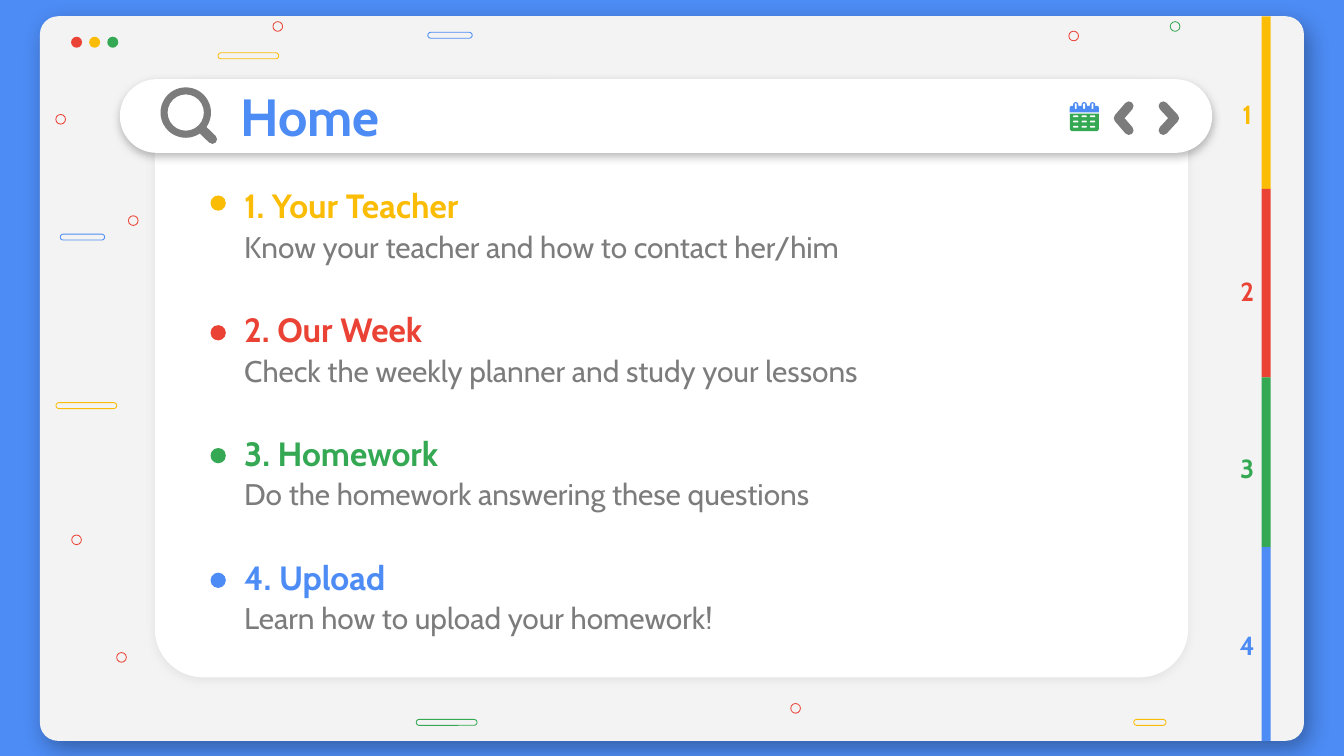
"""Build the Home slide: a browser window with a four-part menu."""
from lxml import etree
from pptx import Presentation
from pptx import util as u
from pptx.dml import color
from pptx.enum import shapes, text
from pptx.oxml import ns, parse_xml

Pt = u.Pt
rgb = color.RGBColor.from_string
KIND = shapes.MSO_SHAPE
BLUE, RED, YELLOW, GREEN = "4D8CF5", "EA4335", "FBBC05", "34A853"
GRAY, WHITE, PALE = "7C7C7C", "FFFFFF", "F3F3F3"

presentation = Presentation()
presentation.slide_width, presentation.slide_height = Pt(720), Pt(405)
slide = presentation.slides.add_slide(presentation.slide_layouts[6])
slide.background.fill.solid()
slide.background.fill.fore_color.rgb = rgb(BLUE)


def add_shape(kind, left, top, width, height, fill=None, line=None,
              corner=None, shadow=None, parent=slide):
    """Add a preset shape; shadow is (colour, opacity, blur, distance, angle)."""
    shape = parent.shapes.add_shape(kind, Pt(left), Pt(top), Pt(width), Pt(height))
    shape.shadow.inherit = False
    if fill:
        shape.fill.solid()
        shape.fill.fore_color.rgb = rgb(fill)
    else:
        shape.fill.background()
    if line:
        shape.line.color.rgb = rgb(line)
        shape.line.width = Pt(0.44)
    else:
        shape.line.fill.background()
    if corner is not None:
        shape.adjustments[0] = corner
    if shadow:
        tint, opacity, blur, distance, angle = shadow
        shape._element.spPr.find(ns.qn("a:effectLst")).append(parse_xml(
            f'<a:outerShdw {ns.nsdecls("a")} blurRad="{Pt(blur)}" dist="{Pt(distance)}" '
            f'dir="{angle * 60000}" algn="bl" rotWithShape="0"><a:srgbClr val="{tint}">'
            f'<a:alpha val="{opacity * 1000}"/></a:srgbClr></a:outerShdw>'))
    return shape


def add_text(words, left, top, width, height, size, tint, bold=False,
             align=text.PP_ALIGN.LEFT):
    """Add a one-line text box, centred vertically."""
    frame = slide.shapes.add_textbox(Pt(left), Pt(top), Pt(width), Pt(height)).text_frame
    frame.word_wrap = True
    frame.vertical_anchor = text.MSO_ANCHOR.MIDDLE
    frame.margin_left = frame.margin_right = Pt(7.2)
    frame.margin_top = frame.margin_bottom = Pt(7.2)
    paragraph = frame.paragraphs[0]
    paragraph.alignment = align
    run = paragraph.add_run()
    run.text = words
    run.font.name, run.font.size, run.font.bold = "Cabin", Pt(size), bold
    run.font.color.rgb = rgb(tint)


add_shape(KIND.ROUNDED_RECTANGLE, 21.4, 8.7, 677.2, 388.2, PALE, corner=0.025,
          shadow=("000000", 32, 12.4, 5.2, 57))
add_shape(KIND.ROUNDED_RECTANGLE, 83, 43.2, 553.5, 319.7, WHITE, corner=0.081,
          shadow=(GRAY, 12, 4.5, 1.5, 90))
for column, tint in enumerate((RED, YELLOW, GREEN)):
    add_shape(KIND.OVAL, 38.1 + 9.7 * column, 19.7, 5.9, 5.9, tint)

pills = [(607.4, 385.4, 17.3, YELLOW), (223, 385.4, 32.6, GREEN),
         (32.3, 125.4, 23.8, BLUE), (30, 215.7, 32.6, YELLOW),
         (229.2, 17.3, 23.8, BLUE), (116.8, 28.3, 32.6, YELLOW)]
for left, top, width, tint in pills:
    add_shape(KIND.ROUNDED_RECTANGLE, left, top, width, 3.2, line=tint, corner=0.5)

rings = [(38.4, 286.6, RED), (68.8, 115.6, RED), (29.9, 61.3, RED),
         (62.5, 349.6, RED), (572.6, 16.7, RED), (626.9, 11.6, GREEN),
         (146.2, 11.6, RED), (423.6, 376.9, RED)]
for left, top, tint in rings:
    add_shape(KIND.OVAL, left, top, 5.2, 5.2, line=tint)

add_shape(KIND.ROUNDED_RECTANGLE, 64.2, 42.4, 585.2, 39.5, WHITE, corner=0.5,
          shadow=(GRAY, 50, 4.5, 1.5, 90))
add_shape(KIND.DONUT, 86, 46.8, 27, 27, GRAY, corner=0.14)
add_text("Home", 121.7, 43.2, 510.5, 37.4, size=28, tint=BLUE, bold=True)

items = [("1. Your Teacher", "Know your teacher and how to contact her/him",
          YELLOW, 104.7, 8.8, 101.2),
         ("2. Our Week", "Check the weekly planner and study your lessons",
          RED, 174.2, 101.2, 202.2),
         ("3. Homework", "Do the homework answering these questions",
          GREEN, 240, 202.2, 293.2),
         ("4. Upload", "Learn how to upload your homework!",
          BLUE, 306.8, 293.2, 397)]
for row, (heading, detail, tint, dot_top, tab_top, tab_bottom) in enumerate(items):
    top = 98 + 66.4 * row
    add_text(heading, 123.8, top, 491.8, 23.8, size=18, tint=tint, bold=True)
    add_text(detail, 123.8, top + 22, 491.8, 23.8, size=16, tint=GRAY)
    add_shape(KIND.OVAL, 112.8, dot_top, 8.2, 8.2, tint)
    add_shape(KIND.RECTANGLE, 675.9, tab_top, 4.8, tab_bottom - tab_top, tint)
    add_text(str(row + 1), 650.9, 51.8 + 94.8 * row, 34.6, 18.7, size=14, tint=tint,
             bold=True, align=text.PP_ALIGN.CENTER)

strokes = [slide.shapes.add_connector(shapes.MSO_CONNECTOR.STRAIGHT,
                                      Pt(108.5), Pt(69.5), Pt(113.8), Pt(74.6))]
for tip, back in ((599.2, 604.8), (629.2, 623.2)):
    builder = slide.shapes.build_freeform(Pt(back), Pt(56.8))
    builder.add_line_segments([(Pt(tip), Pt(63.3)), (Pt(back), Pt(69.8))], close=False)
    chevron = builder.convert_to_shape()
    chevron.fill.background()
    strokes.append(chevron)
for stroke in strokes:
    stroke.line.color.rgb = rgb(GRAY)
    stroke.line.width = Pt(5)
    properties = stroke._element.spPr
    outline = properties.find(ns.qn("a:ln"))
    outline.set("cap", "rnd")
    etree.SubElement(outline, ns.qn("a:round"))
    etree.SubElement(properties, ns.qn("a:effectLst"))

calendar = slide.shapes.add_group_shape()
body = add_shape(KIND.ROUND_2_SAME_RECTANGLE, 573.1, 60.9, 15.6, 9.4, GREEN,
                 corner=0.15, parent=calendar)
body.rotation = 180
add_shape(KIND.ROUND_2_SAME_RECTANGLE, 573.1, 56.7, 15.6, 3.5, BLUE,
          corner=0.3, parent=calendar)
for column in range(3):
    left = 574.9 + 4.5 * column
    add_shape(KIND.ROUNDED_RECTANGLE, left, 54.7, 2.8, 4.6, BLUE, corner=0.5, parent=calendar)
    add_shape(KIND.ROUNDED_RECTANGLE, left + 0.9, 55.4, 1, 3, WHITE, corner=0.5, parent=calendar)
    for row in range(3):
        add_shape(KIND.ROUNDED_RECTANGLE, left, 61.8 + 2.8 * row, 2.8, 1, WHITE,
                  corner=0.5, parent=calendar)

presentation.save("out.pptx")
